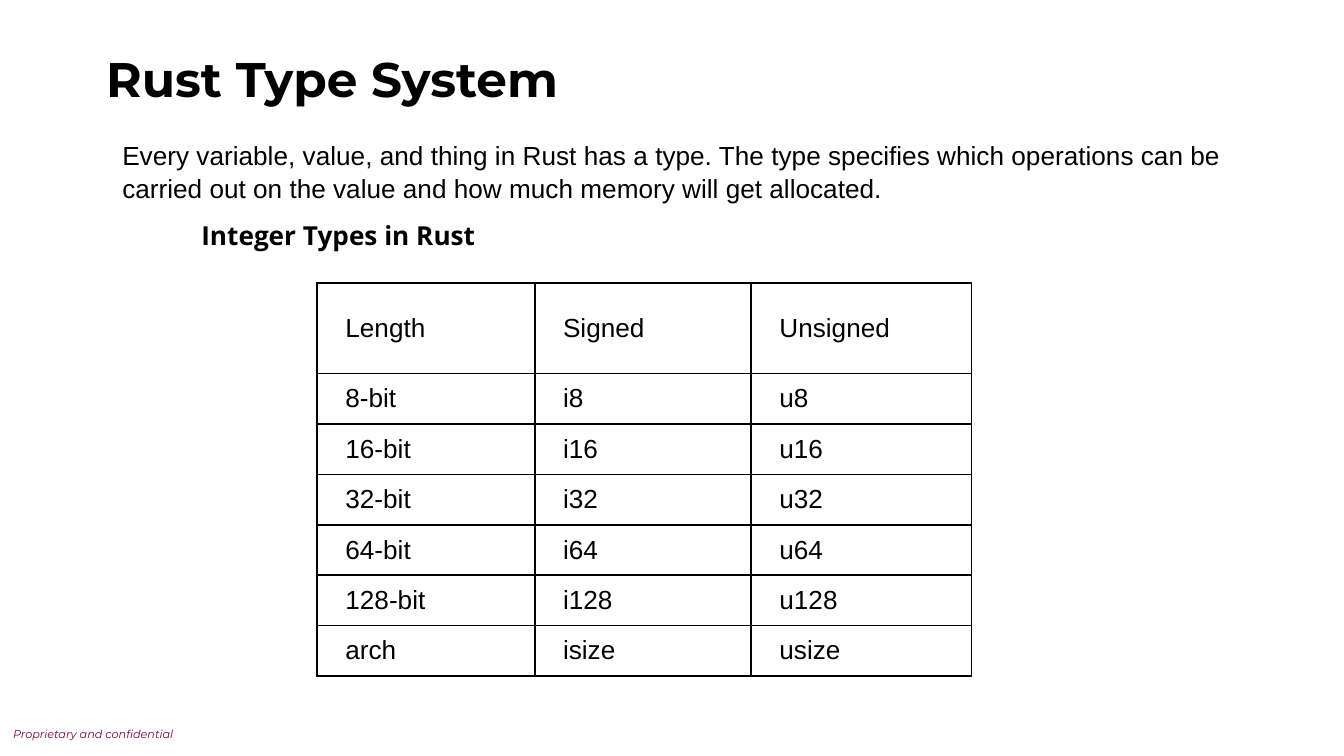
from dataclasses import dataclass

from lxml.etree import SubElement
from pptx import Presentation
from pptx.dml.color import RGBColor as RGB
from pptx.enum.text import MSO_ANCHOR as Anchor, MSO_AUTO_SIZE as AutoSize, PP_ALIGN as Align
from pptx.oxml.ns import qn
from pptx.util import Pt

PX = 4572  # EMU per px, 200 px to the inch


@dataclass(frozen=True)
class Theme:
    ink: RGB = RGB(0x00, 0x00, 0x00)
    paper: RGB = RGB(0xFF, 0xFF, 0xFF)
    accent: RGB = RGB(0x77, 0x00, 0x46)
    display: str = "Montserrat"
    heading: str = "Open Sans"
    text: str = "Arial"
    title_size: int = 26
    text_size: int = 14
    footer_size: int = 6
    border: int = 1


THEME = Theme()

INTEGER_TYPES = [
    ("Length", "Signed", "Unsigned"),
    ("8-bit", "i8", "u8"),
    ("16-bit", "i16", "u16"),
    ("32-bit", "i32", "u32"),
    ("64-bit", "i64", "u64"),
    ("128-bit", "i128", "u128"),
    ("arch", "isize", "usize"),
]


def emu(*lengths):
    return [length * PX for length in lengths]


def style(paragraph, face, size, color=THEME.ink, bold=False, italic=False):
    font = paragraph.font
    font.name, font.size, font.color.rgb = face, Pt(size), color
    font.bold, font.italic = bold, italic


def write(shape, box, words, inset, anchor=Anchor.TOP):
    """Place a text shape in its box and return its only paragraph."""
    shape.left, shape.top, shape.width, shape.height = emu(*box)
    frame = shape.text_frame
    frame.word_wrap, frame.auto_size = True, AutoSize.NONE
    frame.vertical_anchor = anchor
    across, down = emu(*inset)
    frame.margin_left = frame.margin_right = across
    frame.margin_top = frame.margin_bottom = down
    frame.text = words
    return frame.paragraphs[0]


def add_footer(slide, box):
    notice = slide.shapes.add_textbox(*emu(*box))
    line = write(notice, box, "Proprietary and confidential", (20, 20))
    style(line, THEME.display, THEME.footer_size, THEME.accent, italic=True)


def add_title(slide, box):
    line = write(slide.shapes.title, box, "Rust Type System", (8, 8), Anchor.MIDDLE)
    line.alignment = Align.LEFT
    style(line, THEME.display, THEME.title_size, bold=True)


def add_intro(slide, box):
    intro = write(
        slide.placeholders[1], box,
        "Every variable, value, and thing in Rust has a type. The type specifies which "
        "operations can be carried out on the value and how much memory will get allocated.",
        (20, 10))
    intro.alignment, intro.line_spacing = Align.JUSTIFY, 1.07
    intro.space_before = Pt(0)
    style(intro, THEME.text, THEME.text_size)
    # The body placeholder is bulleted by default
    properties = intro._p.get_or_add_pPr()
    properties.set("marL", "0")
    properties.set("indent", "0")
    properties.insert_element_before(
        properties.makeelement(qn("a:buNone")), "a:tabLst", "a:defRPr", "a:extLst")


def add_table_heading(slide, box):
    heading = slide.shapes.add_textbox(*emu(*box))
    line = write(heading, box, "Integer Types in Rust", (20, 10))
    style(line, THEME.heading, THEME.text_size, bold=True)


def draw_borders(cell):
    properties = cell._tc.get_or_add_tcPr()
    for position, side in enumerate(("a:lnL", "a:lnR", "a:lnT", "a:lnB")):
        border = properties.makeelement(qn(side), {"w": str(Pt(THEME.border))})
        fill = SubElement(border, qn("a:solidFill"))
        SubElement(fill, qn("a:srgbClr"), val=str(THEME.ink))
        properties.insert(position, border)


def add_type_table(slide, box, column_widths, header_height):
    row_count = len(INTEGER_TYPES)
    table = slide.shapes.add_table(row_count, len(column_widths), *emu(*box)).table
    table.first_row = table.horz_banding = False
    for column, width in zip(table.columns, column_widths):
        column.width = width * PX
    row_height = (box[3] - header_height) // (row_count - 1)
    for index, (row, values) in enumerate(zip(table.rows, INTEGER_TYPES)):
        row.height = (row_height if index else header_height) * PX
        for cell, value in zip(row.cells, values):
            cell.text = value
            cell.vertical_anchor = Anchor.MIDDLE
            cell.margin_left = cell.margin_right = 42 * PX
            cell.margin_top = cell.margin_bottom = 6 * PX
            cell.fill.solid()
            cell.fill.fore_color.rgb = THEME.paper
            draw_borders(cell)
            style(cell.text_frame.paragraphs[0], THEME.text, THEME.text_size)


def main():
    deck = Presentation()
    deck.slide_width, deck.slide_height = emu(2000, 1125)
    slide = deck.slides.add_slide(deck.slide_layouts[1])

    add_footer(slide, (0, 1062, 366, 60))
    add_title(slide, (150, 66, 1566, 102))
    add_intro(slide, (162, 194, 1676, 114))
    add_type_table(slide, (472, 421, 974, 585), (324, 322, 328), 135)
    add_table_heading(slide, (280, 316, 654, 68))

    deck.save("out.pptx")


if __name__ == "__main__":
    main()
